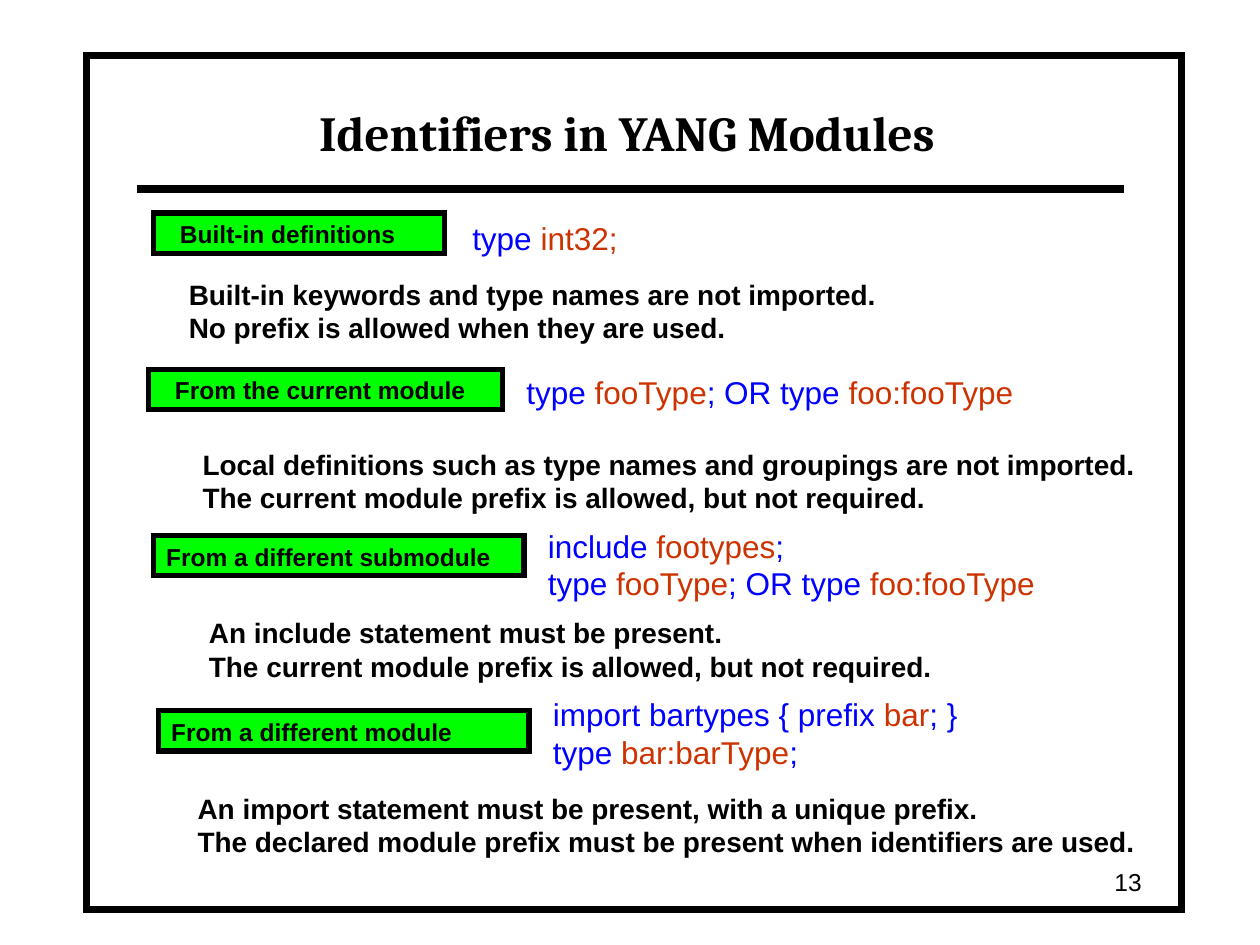
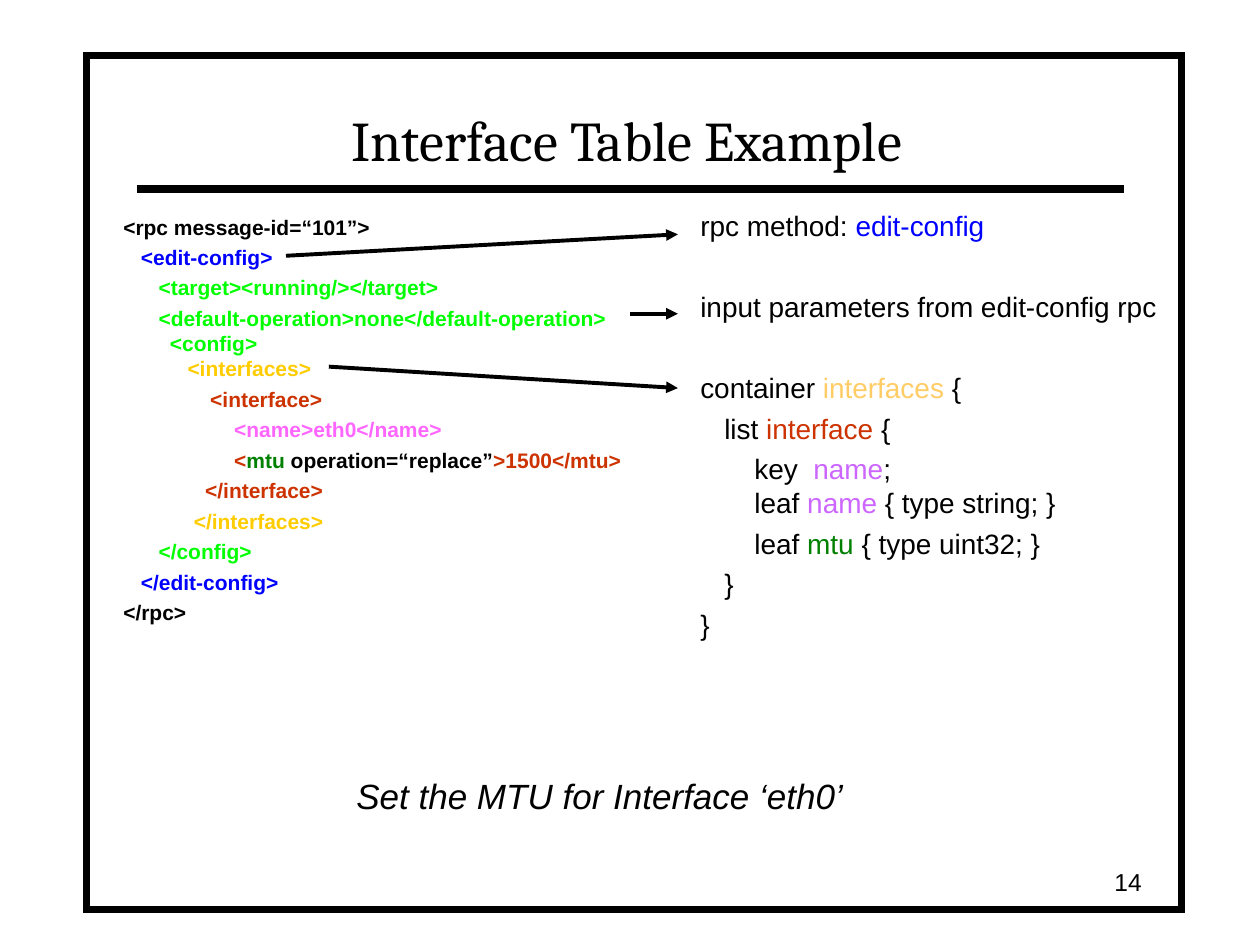
from lxml import etree
from pptx import Presentation
from pptx import util as u
from pptx.dml import color
from pptx.enum import shapes, text
from pptx.oxml import ns

SCALE = 9144  # EMU in one px, 100 px to the inch
SANS, SERIF = "Arial", "Cambria"
BLACK, WHITE, BLUE, RED = "000000", "FFFFFF", "0000FF", "CC3300"
LIME, GREEN, GOLD, SAND = "00FF00", "008000", "FFCC00", "FFCC66"
PINK, MAUVE = "FF66FF", "CC66FF"

# Shared frame: left, top, width, height; rule: x1, y1, x2, y2
FRAME = (69, 44, 869, 678)
RULE = (109, 150, 892, 150)
NUMBER = (708, 683, 208, 33)

# Slide 13: label, its box and indent; code (blue and red in turn); note
SCOPES = [
    ("Built-in definitions", (122, 169, 231, 32), 11,
     [["type ", "int32;"]], (365, 169, 180, 38),
     ["Built-in keywords and type names are not imported.",
      "No prefix is allowed when they are used."], (140, 215, 580, 60)),
    ("From the current module", (118, 293, 281, 32), 11,
     [["type ", "fooType", "; OR type ", "foo:fooType"]], (408, 291, 420, 38),
     ["Local definitions such as type names and groupings are not imported.",
      "The current module prefix is allowed, but not required."],
     (151, 350, 780, 60)),
    ("From a different submodule", (122, 425, 294, 32), 0,
     [["include ", "footypes", ";"],
      ["type ", "fooType", "; OR type ", "foo:fooType"]],
     (425, 413, 420, 66),
     ["An include statement must be present.",
      "The current module prefix is allowed, but not required."],
     (156, 484, 605, 60)),
    ("From a different module", (126, 564, 294, 32), 0,
     [["import bartypes { prefix ", "bar", "; }"],
      ["type ", "bar:barType", ";"]], (429, 547, 350, 66),
     ["An import statement must be present, with a unique prefix.",
      "The declared module prefix must be present when identifiers are used."],
     (147, 623, 779, 60)),
]

# Slide 14: each line is indent in px, space before in points, runs
REQUEST = [
    (0, 0, [("<rpc message-id=“101”>", BLACK)]),
    (14, 3, [("<edit-config>", BLUE)]),
    (28, 3, [("<target><running/></target>", LIME)]),
    (28, 3, [("<default-operation>none</default-operation>", LIME)]),
    (37, 0, [("<config>", LIME)]),
    (51, 0, [("<interfaces>", GOLD)]),
    (69, 3, [("<interface>", RED)]),
    (88, 3, [("<name>eth0</name>", PINK)]),
    (88, 3, [("<", RED), ("mtu ", GREEN), ("operation=“replace”", BLACK),
             (">1500</mtu>", RED)]),
    (65, 3, [("</interface>", RED)]),
    (56, 3, [("</interfaces>", GOLD)]),
    (28, 3, [("</config>", LIME)]),
    (14, 3, [("</edit-config>", BLUE)]),
    (0, 3, [("</rpc>", BLACK)]),
]
MODEL = [
    (0, 0, [("rpc method: ", BLACK), ("edit-config", BLUE)]),
    (0, 27, [("input parameters from edit-config rpc", BLACK)]),
    (0, 27, [("container ", BLACK), ("interfaces", SAND), (" {", BLACK)]),
    (19, 4, [("list ", BLACK), ("interface ", RED), ("{", BLACK)]),
    (43, 4, [("key  ", BLACK), ("name", MAUVE), (";", BLACK)]),
    (43, 0, [("leaf ", BLACK), ("name", MAUVE), (" { type string; }", BLACK)]),
    (43, 4, [("leaf ", BLACK), ("mtu", GREEN), (" { type uint32; }", BLACK)]),
    (19, 4, [("}", BLACK)]),
    (0, 4, [("}", BLACK)]),
]
ARROWS = [(227, 203, 538, 186), (500, 249, 538, 249), (261, 291, 538, 308)]
CAPTION = "Set the MTU for Interface ‘eth0’"


def px(*vals):
    return [u.Emu(v * SCALE) for v in vals]


def rgb(code):
    return color.RGBColor.from_string(code)


def plain(words, indent=0):
    """One black line of text."""
    return (indent, 0, [(words, BLACK)])


def write(shape, lines, size, font=SANS, bold=False, italic=False,
          align=text.PP_ALIGN.LEFT, anchor=text.MSO_ANCHOR.TOP):
    """Fill a shape with lines of coloured runs."""
    frame = shape.text_frame
    frame.word_wrap = True
    frame.auto_size = text.MSO_AUTO_SIZE.NONE
    frame.vertical_anchor = anchor
    frame.margin_left, frame.margin_right = px(10, 10)
    frame.margin_top, frame.margin_bottom = px(5, 5)
    for i, (indent, gap, runs) in enumerate(lines):
        para = frame.paragraphs[0] if i == 0 else frame.add_paragraph()
        para.alignment = align
        para.space_before = u.Pt(gap)
        if indent:
            para._p.get_or_add_pPr().set("marL", str(indent * SCALE))
        for words, tint in runs:
            run = para.add_run()
            run.text = words
            face = run.font
            face.name, face.size = font, u.Pt(size)
            face.bold, face.italic = bold, italic
            face.color.rgb = rgb(tint)


def box(slide, place, lines, size, **style):
    shape = slide.shapes.add_textbox(*px(*place))
    write(shape, lines, size, **style)


def rect(slide, place, fill, width):
    """Add a filled box with a black, square-cornered outline."""
    shape = slide.shapes.add_shape(shapes.MSO_SHAPE.RECTANGLE, *px(*place))
    shape.shadow.inherit = False
    shape.fill.solid()
    shape.fill.fore_color.rgb = rgb(fill)
    shape.line.color.rgb = rgb(BLACK)
    shape.line.width = u.Pt(width)
    miter = etree.SubElement(shape.line._get_or_add_ln(), ns.qn("a:miter"))
    miter.set("lim", "800000")
    return shape


def line(slide, ends, width, arrow=False):
    link = slide.shapes.add_connector(shapes.MSO_CONNECTOR.STRAIGHT, *px(*ends))
    link.line.color.rgb = rgb(BLACK)
    link.line.width = u.Pt(width)
    if arrow:
        tail = etree.SubElement(link.line._get_or_add_ln(), ns.qn("a:tailEnd"))
        tail.set("type", "triangle")
    etree.SubElement(link.element.spPr, ns.qn("a:effectLst"))
    return link


def start(deck, title, place, size, bold, number):
    """Add a slide with its frame, rule, title and number."""
    slide = deck.slides.add_slide(deck.slide_layouts[5])
    head = slide.shapes.title
    for part in (rect(slide, FRAME, WHITE, 4), line(slide, RULE, 4.5)):
        head.element.addprevious(part.element)
    head.left, head.top, head.width, head.height = px(*place)
    write(head, [plain(title)], size, font=SERIF, bold=bold,
          align=text.PP_ALIGN.CENTER, anchor=text.MSO_ANCHOR.BOTTOM)
    box(slide, NUMBER, [plain(str(number))], 14,
        align=text.PP_ALIGN.RIGHT, anchor=text.MSO_ANCHOR.MIDDLE)
    return slide


def scopes(deck):
    slide = start(deck, "Identifiers in YANG Modules", (108, 58, 779, 75),
                  28, True, 13)
    for label, spot, indent, code, where, note, below in SCOPES:
        write(rect(slide, spot, LIME, 3), [plain(label, indent)], 14, bold=True)
        lines = [(0, 0, [(part, (BLUE, RED)[i % 2])
                         for i, part in enumerate(parts)]) for parts in code]
        box(slide, where, lines, 18)
        box(slide, below, [plain(words) for words in note], 16, bold=True)


def example(deck):
    slide = start(deck, "Interface Table Example", (108, 50, 779, 92),
                  32, False, 14)
    box(slide, (546, 161, 390, 517), MODEL, 16)
    box(slide, (88, 165, 508, 517), REQUEST, 12, bold=True)
    for ends in ARROWS:
        line(slide, ends, 2.25, arrow=True)
    box(slide, (273, 610, 420, 41), [plain(CAPTION)], 20, italic=True)


def main():
    deck = Presentation()
    deck.slide_width, deck.slide_height = px(1000, 750)
    scopes(deck)
    example(deck)
    deck.save("out.pptx")


if __name__ == "__main__":
    main()
